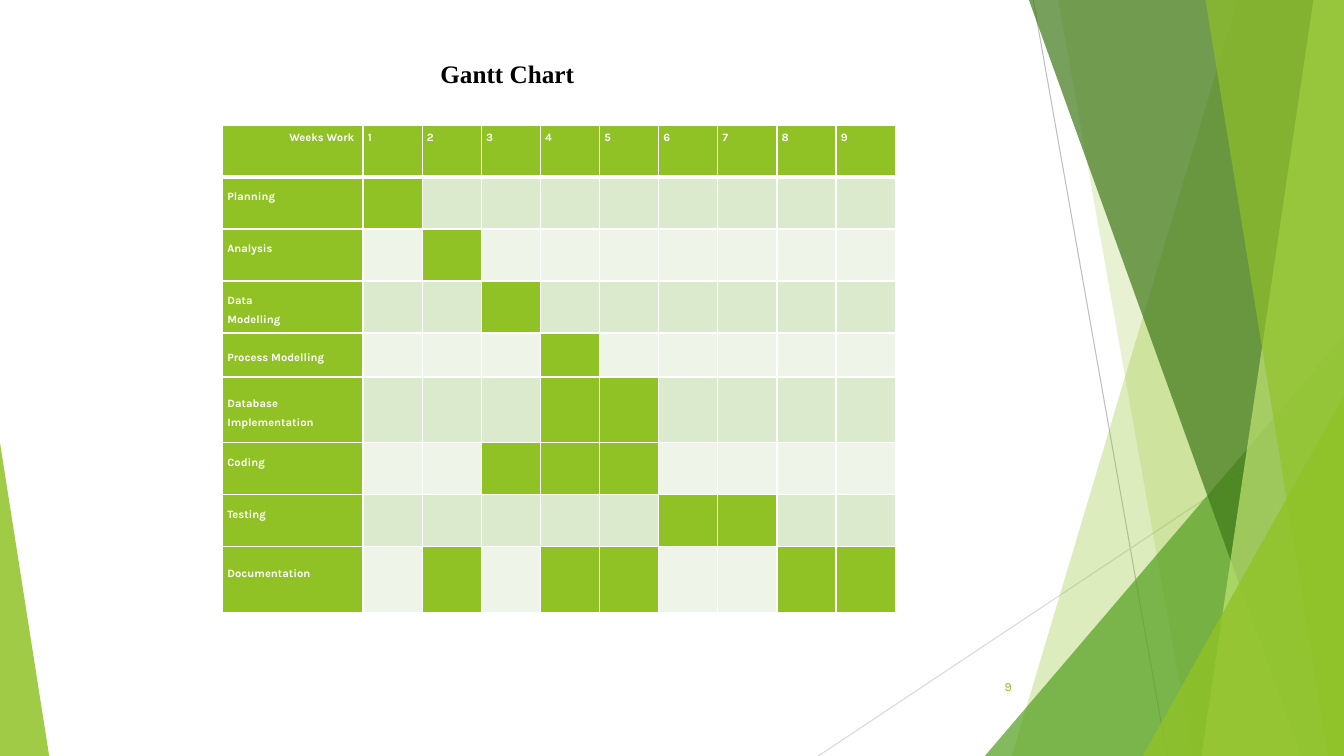
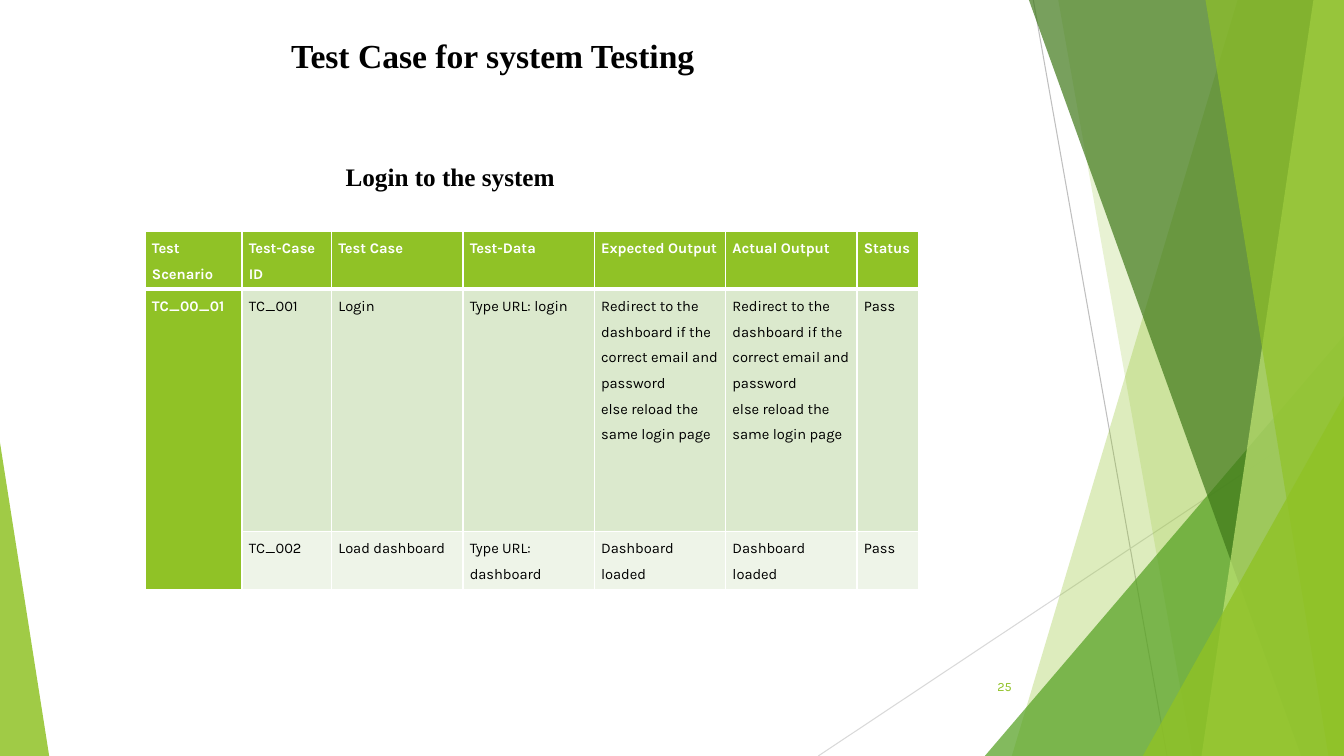
from lxml import etree
from pptx import Presentation
from pptx.dml.color import RGBColor
from pptx.enum.shapes import MSO_CONNECTOR, MSO_SHAPE
from pptx.enum.text import MSO_ANCHOR as Anchor, PP_ALIGN as Align
from pptx.oxml.ns import qn
from pptx.util import Cm, Pt

WIDTH, HEIGHT = 33.87, 19.05
GREEN, LEAF, FOREST, LIME = "90C226", "54A021", "3F7819", "C0E474"
WHITE, BLACK = "FFFFFF", "000000"
BANDS = ("DBE9CD", "EEF4E8")
BODY_FONT = "Karla"

TITLE = {"name": "Times New Roman", "bold": True, "color": BLACK}
PAGE_NUMBER = {"name": BODY_FONT, "size": Pt(9), "color": GREEN}
GANTT_TEXT = {"name": BODY_FONT, "size": Pt(8), "bold": True, "color": WHITE}
CASE_HEAD = {"name": BODY_FONT, "size": Pt(10.5), "bold": True, "color": WHITE}
CASE_BODY = CASE_HEAD | {"bold": False, "color": BLACK}

WEEKS = 9
LABEL_LIFT = 0.48
# label, row height, space kept below the label, busy weeks
TASKS = [
    ("Planning", 1.31, LABEL_LIFT, {1}),
    ("Analysis", 1.31, LABEL_LIFT, {2}),
    ("Data\nModelling", 1.31, 0, {3}),
    ("Process Modelling", 1.11, 0, {4}),
    ("Database Implementation", 1.66, 0, {4, 5}),
    ("Coding", 1.31, LABEL_LIFT, {3, 4, 5}),
    ("Testing", 1.31, LABEL_LIFT, {6, 7}),
    ("Documentation", 1.66, LABEL_LIFT, {2, 4, 5, 8, 9}),
]

LOGIN_RESULT = ("Redirect to the dashboard if the correct email and password\n"
                "else reload the same login page")
TEST_CASES = [
    ("Test Scenario", "Test-Case ID", "Test Case", "Test-Data",
     "Expected Output", "Actual Output", "Status"),
    ("TC_00_01", "TC_001", "Login", "Type URL: login",
     LOGIN_RESULT, LOGIN_RESULT, "Pass"),
    ("", "TC_002", "Load dashboard", "Type URL: dashboard",
     "Dashboard loaded", "Dashboard loaded", "Pass"),
]


def rgb(code):
    return RGBColor.from_string(code)


def set_values(target, values):
    for name, value in values.items():
        if name == "color":
            target.color.rgb = rgb(value)
        else:
            setattr(target, name, value)


def write(frame, text, font, align=Align.LEFT, spacing=1.0):
    """Fill a text frame, one paragraph for each line of text."""
    frame.text = text
    for paragraph in frame.paragraphs:
        set_values(paragraph, {"alignment": align, "line_spacing": spacing})
        for run in paragraph.runs:
            set_values(run.font, font)


def add_text(slide, text, box, font, align=Align.LEFT, spacing=1.0,
             anchor=Anchor.TOP):
    frame = slide.shapes.add_textbox(*map(Cm, box)).text_frame
    set_values(frame, {"word_wrap": True, "vertical_anchor": anchor})
    write(frame, text, font, align, spacing)


def paint(shape, color, opacity):
    shape.shadow.inherit = False
    shape.line.fill.background()
    shape.fill.solid()
    shape.fill.fore_color.rgb = rgb(color)
    tint = shape._element.spPr.find(".//" + qn("a:srgbClr"))
    etree.SubElement(tint, qn("a:alpha"), val=str(opacity * 1000))


def add_hairline(slide, start, end, color):
    line = slide.shapes.add_connector(
        MSO_CONNECTOR.STRAIGHT, *map(Cm, (*start, *end)))
    line.line.width = Pt(0.75)
    line.line.color.rgb = rgb(color)
    etree.SubElement(line._element.spPr, qn("a:effectLst"))


def add_panel(slide, top_x, bottom_x, color, opacity):
    """Full-height panel from a slanted left edge to the right slide edge."""
    corners = [(top_x, 0), (WIDTH, 0), (WIDTH, HEIGHT), (bottom_x, HEIGHT)]
    points = [(Cm(x), Cm(y)) for x, y in corners]
    outline = slide.shapes.build_freeform(*points[0], scale=1.0)
    outline.add_line_segments(points[1:], close=True)
    paint(outline.convert_to_shape(), color, opacity)


def add_wedge(slide, left, top, right, apex, color, opacity):
    """Triangle standing on the bottom edge; apex runs from 0 to 1."""
    wedge = slide.shapes.add_shape(
        MSO_SHAPE.ISOSCELES_TRIANGLE,
        *map(Cm, (left, top, right - left, HEIGHT - top)))
    wedge.adjustments[0] = apex
    paint(wedge, color, opacity)


def add_facets(slide):
    add_hairline(slide, (26.04, 0), (29.41, HEIGHT), "BFBFBF")
    add_hairline(slide, (WIDTH, 10.24), (20.62, HEIGHT), "D9D9D9")
    add_panel(slide, 31.19, 25.5, GREEN, 30)
    add_panel(slide, 26.67, 30.05, GREEN, 20)
    add_wedge(slide, 24.82, 8.46, WIDTH, 1, LEAF, 72)
    add_panel(slide, 25.93, 32.79, FOREST, 70)
    add_panel(slide, 33.1, 30.28, LIME, 70)
    add_panel(slide, 30.38, 33.48, GREEN, 65)
    add_wedge(slide, 28.8, 9.98, WIDTH, 1, GREEN, 80)
    add_wedge(slide, 0, 11.15, 1.24, 0, GREEN, 85)


def add_slide(deck, number):
    slide = deck.slides.add_slide(deck.slide_layouts[6])
    add_facets(slide)
    add_text(slide, str(number), (23.85, 16.79, 1.9, 1.02), PAGE_NUMBER,
             Align.RIGHT, anchor=Anchor.MIDDLE)
    return slide


def add_grid(slide, left, top, widths, heights):
    table = slide.shapes.add_table(
        len(heights), len(widths),
        *map(Cm, (left, top, sum(widths), sum(heights)))).table
    table.horz_banding = False
    for column, width in zip(table.columns, widths):
        column.width = Cm(width)
    for row, height in zip(table.rows, heights):
        row.height = Cm(height)
    return table


def add_borders(cell, row):
    """White rules, with a heavier one between the header and the body."""
    heavy = {0: "lnB", 1: "lnT"}.get(row)
    for side in ("lnL", "lnR", "lnT", "lnB"):
        width = Pt(3) if side == heavy else Pt(1)
        rule = etree.SubElement(cell._tc.get_or_add_tcPr(), qn("a:" + side),
                                w=str(int(width)))
        fill = etree.SubElement(rule, qn("a:solidFill"))
        etree.SubElement(fill, qn("a:srgbClr"), val=WHITE)


def fill_cell(table, row, column, text, font, strong, inset,
              **layout):
    cell = table.cell(row, column)
    add_borders(cell, row)
    cell.fill.solid()
    cell.fill.fore_color.rgb = rgb(GREEN if strong else BANDS[(row - 1) % 2])
    set_values(cell, {"margin_left": Cm(inset), "margin_right": Cm(inset),
                      "margin_top": 0, "margin_bottom": 0} | layout)
    if text:
        write(cell.text_frame, text, font, spacing=1.5)


def build_gantt(deck):
    slide = add_slide(deck, 9)
    add_text(slide, "Gantt Chart", (10.85, 0.97, 8, 1.42),
             TITLE | {"size": Pt(18)}, spacing=1.5)
    header_height, inset = 1.31, 0.12
    table = add_grid(slide, 5.61, 3.15, [3.54] + [1.49] * WEEKS,
                     [header_height] + [task[1] for task in TASKS])
    fill_cell(table, 0, 0, "Weeks Work", GANTT_TEXT, True, inset,
              margin_left=Cm(1.68))
    for week in range(1, WEEKS + 1):
        fill_cell(table, 0, week, str(week), GANTT_TEXT, True, inset)
    for row, (label, _, lift, busy) in enumerate(TASKS, 1):
        fill_cell(table, row, 0, label, GANTT_TEXT, True, inset,
                  margin_bottom=Cm(lift), vertical_anchor=Anchor.MIDDLE)
        for week in range(1, WEEKS + 1):
            fill_cell(table, row, week, "", GANTT_TEXT, week in busy, inset)


def build_test_cases(deck):
    slide = add_slide(deck, 25)
    add_text(slide, "Test Case for system Testing", (7.09, 0.76, 18.95, 2.31),
             TITLE | {"size": Pt(24)})
    table = add_grid(slide, 3.66, 5.83, [2.44, 2.26] + [3.31] * 4 + [1.56],
                     [1.46, 6.1, 1.46])
    for row, texts in enumerate(TEST_CASES):
        for column, text in enumerate(texts):
            strong = row == 0 or column == 0
            fill_cell(table, row, column, text,
                      CASE_HEAD if strong else CASE_BODY, strong, 0.17)
    table.cell(1, 0).merge(table.cell(2, 0))
    add_text(slide, "Login to the system", (8.46, 3.94, 8, 1.02),
             TITLE | {"size": Pt(18)})


def main():
    deck = Presentation()
    deck.slide_width, deck.slide_height = Cm(WIDTH), Cm(HEIGHT)
    build_gantt(deck)
    build_test_cases(deck)
    deck.save("out.pptx")


if __name__ == "__main__":
    main()
